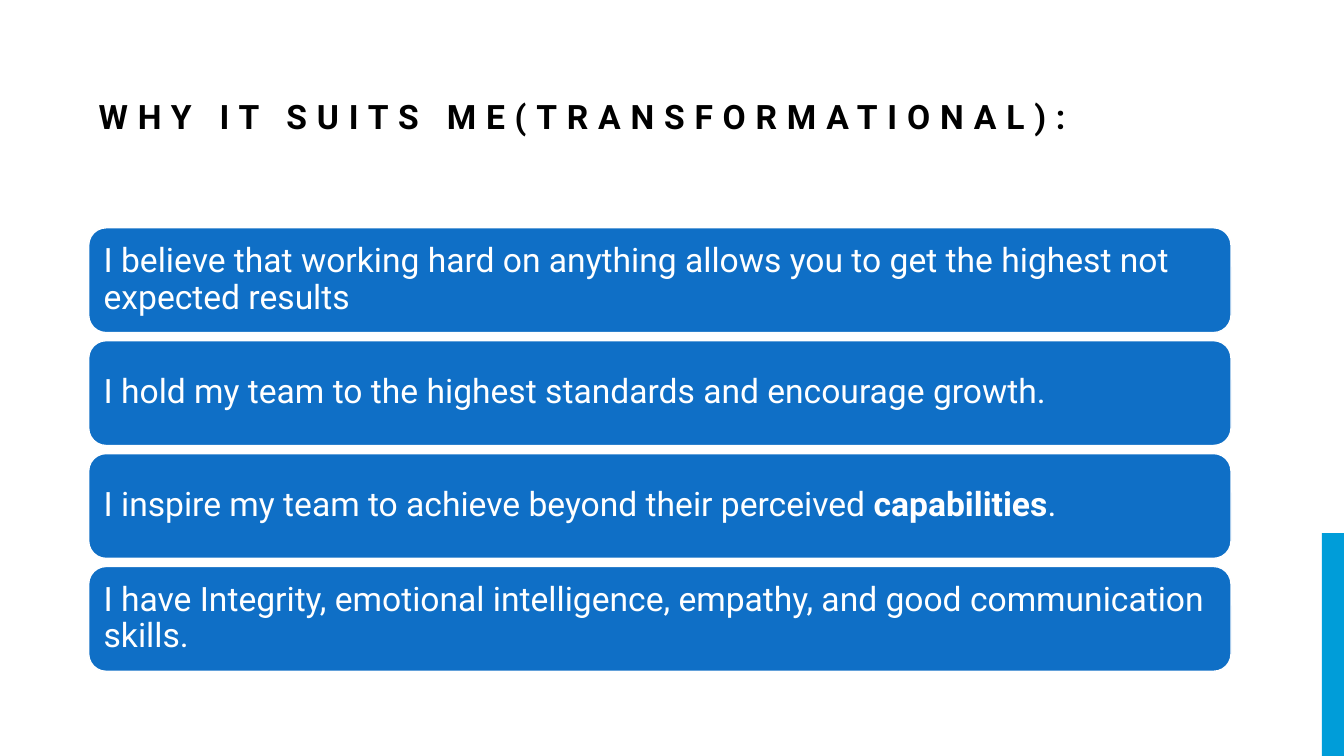
import pptx
import pptx.dml.color
import pptx.enum.shapes
import pptx.enum.text
import pptx.util

Inches = pptx.util.Inches
Pt = pptx.util.Pt

REASONS = [
    ["I believe that working hard on anything allows you to get the highest not expected results"],
    ["I hold my team to the highest standards and encourage growth."],
    ["I inspire my team to achieve beyond their perceived ", "capabilities", "."],
    ["I have Integrity, emotional intelligence, empathy, and good communication skills."],
]


def color(value):
    return pptx.dml.color.RGBColor.from_string(value)


def style_run(run, hex_color, bold=False):
    run.font.name = "Roboto"
    run.font.size = Pt(24)
    run.font.bold = bold
    run.font.color.rgb = color(hex_color)


def add_accent(slide, left, top, width, height):
    accent = slide.shapes.add_shape(
        pptx.enum.shapes.MSO_SHAPE.RECTANGLE,
        Inches(left), Inches(top), Inches(width), Inches(height))
    accent.shadow.inherit = False
    accent.fill.solid()
    accent.fill.fore_color.rgb = color("009DD9")
    accent.line.fill.background()


def add_heading(slide, left, top, width, height):
    heading = slide.shapes.add_textbox(
        Inches(left), Inches(top), Inches(width), Inches(height))
    frame = heading.text_frame
    frame.word_wrap = True
    frame.vertical_anchor = pptx.enum.text.MSO_ANCHOR.BOTTOM
    frame.margin_bottom = Inches(0.52)
    frame.text = "WHY IT SUITS ME(TRANSFORMATIONAL):"
    paragraph = frame.paragraphs[0]
    paragraph.line_spacing = 1.2
    style_run(paragraph.runs[0], "000000", bold=True)
    paragraph.runs[0].font._element.set("spc", "700")


def add_reason(slide, parts, left, top, width, height):
    card = slide.shapes.add_shape(
        pptx.enum.shapes.MSO_SHAPE.ROUNDED_RECTANGLE,
        Inches(left), Inches(top), Inches(width), Inches(height))
    card.shadow.inherit = False
    card.fill.solid()
    card.fill.fore_color.rgb = color("0F6FC6")
    card.line.color.rgb = color("FFFFFF")
    card.line.width = Pt(1)
    frame = card.text_frame
    frame.word_wrap = True
    frame.vertical_anchor = pptx.enum.text.MSO_ANCHOR.MIDDLE
    frame.margin_left = frame.margin_right = Inches(0.1)
    frame.margin_top = frame.margin_bottom = Inches(0.1)
    paragraph = frame.paragraphs[0]
    paragraph.alignment = pptx.enum.text.PP_ALIGN.LEFT
    paragraph.line_spacing = 0.9
    for part in parts:
        run = paragraph.add_run()
        run.text = part
        style_run(run, "FFFFFF", bold=part == "capabilities")


def add_reasons(slide, left, top, width, height, gap=0.08):
    card_height = (height - gap * (len(REASONS) - 1)) / len(REASONS)
    for row, parts in enumerate(REASONS):
        add_reason(slide, parts, left, top + row * (card_height + gap), width, card_height)


def main():
    deck = pptx.Presentation()
    deck.slide_width = Inches(13.33)
    deck.slide_height = Inches(7.5)
    slide = deck.slides.add_slide(deck.slide_layouts[6])
    add_accent(slide, 13.11, 5.29, 0.22, 2.21)
    add_heading(slide, 0.88, 0.3, 11.33, 1.57)
    add_reasons(slide, 0.88, 2.26, 11.33, 4.4)
    deck.save("out.pptx")


if __name__ == "__main__":
    main()
